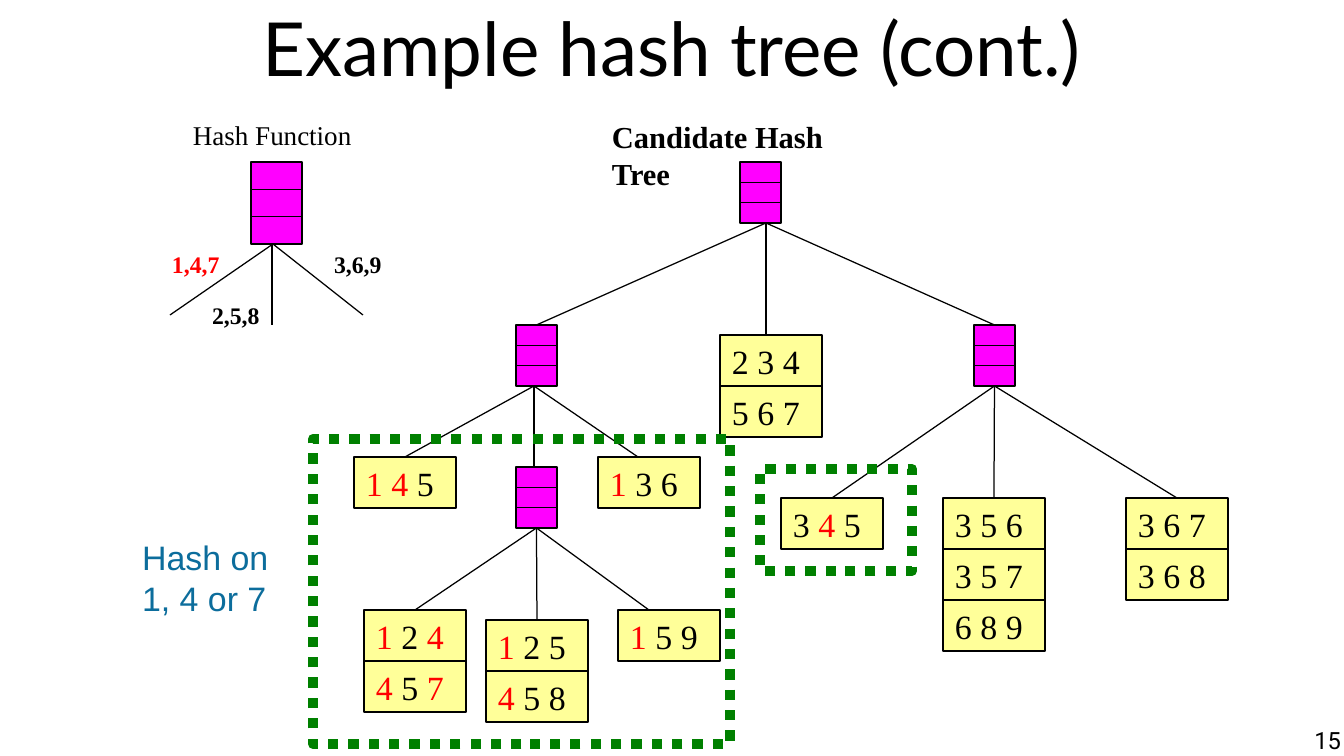
from lxml.etree import SubElement
from pptx import Presentation
from pptx.dml.color import RGBColor
from pptx.enum.dml import MSO_LINE
from pptx.enum.shapes import MSO_CONNECTOR, MSO_SHAPE
from pptx.enum.text import MSO_ANCHOR, PP_ALIGN
from pptx.oxml.ns import qn
from pptx.util import Emu, Pt

PX_PER_INCH = 122
BLACK, RED, GREEN, TEAL = "000000", "FF0000", "008000", "0C6D9C"
MAGENTA, YELLOW = "FF00FF", "FFFF99"
SERIF = "Times New Roman"
TOP, BOTTOM = 0, 2


def px(value):
    return Emu(round(value * 914400 / PX_PER_INCH))


def rgb(value):
    return RGBColor.from_string(value)


class HashTreeSlide:
    leaf_width, leaf_height = 102, 51
    inset_x, inset_y = 12, 6

    def __init__(self, slide):
        self.shapes = slide.shapes

    def set_text(self, shape, text, size, color=BLACK, font=SERIF, bold=False,
                 align=PP_ALIGN.LEFT, anchor=MSO_ANCHOR.TOP, wrap=False, inset=True):
        """Fill the shape with one paragraph; parts between asterisks are red."""
        frame = shape.text_frame
        frame.word_wrap = wrap
        frame.vertical_anchor = anchor
        frame.margin_left = frame.margin_right = px(self.inset_x if inset else 0)
        frame.margin_top = frame.margin_bottom = px(self.inset_y if inset else 0)
        paragraph = frame.paragraphs[0]
        paragraph.alignment = align
        for index, part in enumerate(text.split("*")):
            if part:
                run = paragraph.add_run()
                run.text = part
                run.font.name = font
                run.font.size = Pt(size)
                run.font.bold = bold
                run.font.color.rgb = rgb(RED if index % 2 else color)

    def label(self, left, top, width, height, text, size, **style):
        box = self.shapes.add_textbox(px(left), px(top), px(width), px(height))
        self.set_text(box, text, size, **style)

    def rectangle(self, left, top, width, height, fill=None, line=BLACK, weight=0.75):
        shape = self.shapes.add_shape(
            MSO_SHAPE.RECTANGLE, px(left), px(top), px(width), px(height))
        shape.shadow.inherit = False
        if fill:
            shape.fill.solid()
            shape.fill.fore_color.rgb = rgb(fill)
        else:
            shape.fill.background()
        shape.line.color.rgb = rgb(line)
        shape.line.width = Pt(weight)
        return shape

    def line(self, x1, y1, x2, y2):
        connector = self.shapes.add_connector(
            MSO_CONNECTOR.STRAIGHT, px(x1), px(y1), px(x2), px(y2))
        connector.line.color.rgb = rgb(BLACK)
        connector.line.width = Pt(0.75)
        SubElement(connector._element.spPr, qn("a:effectLst"))
        return connector

    def node(self, left, top, width=41, height=61):
        """Draw an inner node split into three buckets."""
        shape = self.rectangle(left, top, width, height, MAGENTA)
        for third in (1, 2):
            y = top + height * third / 3
            self.line(left, y, left + width, y)
        return shape

    def leaf(self, left, top, *itemsets):
        """Stack the itemsets and return the uppermost cell."""
        cells = []
        for row, itemset in enumerate(itemsets):
            cell = self.rectangle(left, top + row * self.leaf_height,
                                  self.leaf_width, self.leaf_height, YELLOW)
            self.set_text(cell, itemset, 20)
            cells.append(cell)
        return cells[0]

    def branch(self, parent, start_x, child, end_x):
        """Link parent to child, joining each end that meets the middle of a side."""
        unit = px(1)
        connector = self.line(start_x, (parent.top + parent.height) / unit,
                              end_x, child.top / unit)
        if abs(px(start_x) - parent.left - parent.width / 2) <= unit:
            connector.begin_connect(parent, BOTTOM)
        if abs(px(end_x) - child.left - child.width / 2) <= unit:
            connector.end_connect(child, TOP)

    def highlight(self, left, top, width, height):
        frame = self.rectangle(left, top, width, height, line=GREEN, weight=6)
        frame.line.dash_style = MSO_LINE.ROUND_DOT


def main():
    presentation = Presentation()
    presentation.slide_width, presentation.slide_height = px(1344), px(756)
    page = HashTreeSlide(presentation.slides.add_slide(presentation.slide_layouts[6]))

    page.label(67, -6, 1210, 105, "Example hash tree (cont.)", 44, font="Lato",
               align=PP_ALIGN.CENTER, anchor=MSO_ANCHOR.MIDDLE, wrap=True, inset=False)

    root = page.node(740, 162)
    left_node = page.node(516, 325)
    right_node = page.node(974, 325)
    inner_node = page.node(516, 467)

    # Each parent: where its branches start, then every child and where its branch ends
    tree = [
        (root, 766, [
            (left_node, 537),
            (page.leaf(720, 335, "2 3 4", "5 6 7"), 766),
            (right_node, 994)]),
        (left_node, 534, [
            (page.leaf(354, 457, "*1 4* 5"), 405),
            (inner_node, 534),
            (page.leaf(598, 457, "*1* 3 6"), 638)]),
        (right_node, 994, [
            (page.leaf(781, 498, "3 *4* 5"), 832),
            (page.leaf(943, 498, "3 5 6", "3 5 7", "6 8 9"), 994),
            (page.leaf(1126, 498, "3 6 7", "3 6 8"), 1177)]),
        (inner_node, 537, [
            (page.leaf(364, 610, "*1* 2 *4*", "*4* 5 *7*"), 415),
            (page.leaf(486, 620, "*1* 2 5", "*4* 5 8"), 537),
            (page.leaf(618, 610, "*1* 5 9"), 649)]),
    ]
    for parent, start_x, children in tree:
        for child, end_x in children:
            page.branch(parent, start_x, child, end_x)

    page.node(251, 162, 51, 82)
    for start_x, end_x, end_y in [(273, 170, 315), (272, 272, 325), (273, 363, 315)]:
        page.line(start_x, 244, end_x, end_y)
    for left, top, bucket in [(160, 244, "*1,4,7*"), (200, 295, "2,5,8"),
                              (322, 244, "3,6,9")]:
        page.label(left, top, 72, 40, bucket, 14, bold=True)

    page.label(181, 112, 183, 45, "Hash Function", 16)
    page.label(600, 112, 300, 49, "Candidate Hash Tree", 18, bold=True)
    page.label(130, 531, 153, 94, "Hash on 1, 4 or 7", 20, color=TEAL,
               font="Arial", wrap=True)

    page.highlight(313, 439, 417, 305)
    page.highlight(760, 469, 152, 102)
    page.label(1027, 726, 314, 30, "15", 14, font="Roboto",
               align=PP_ALIGN.RIGHT, wrap=True, inset=False)
    presentation.save("out.pptx")


if __name__ == "__main__":
    main()
